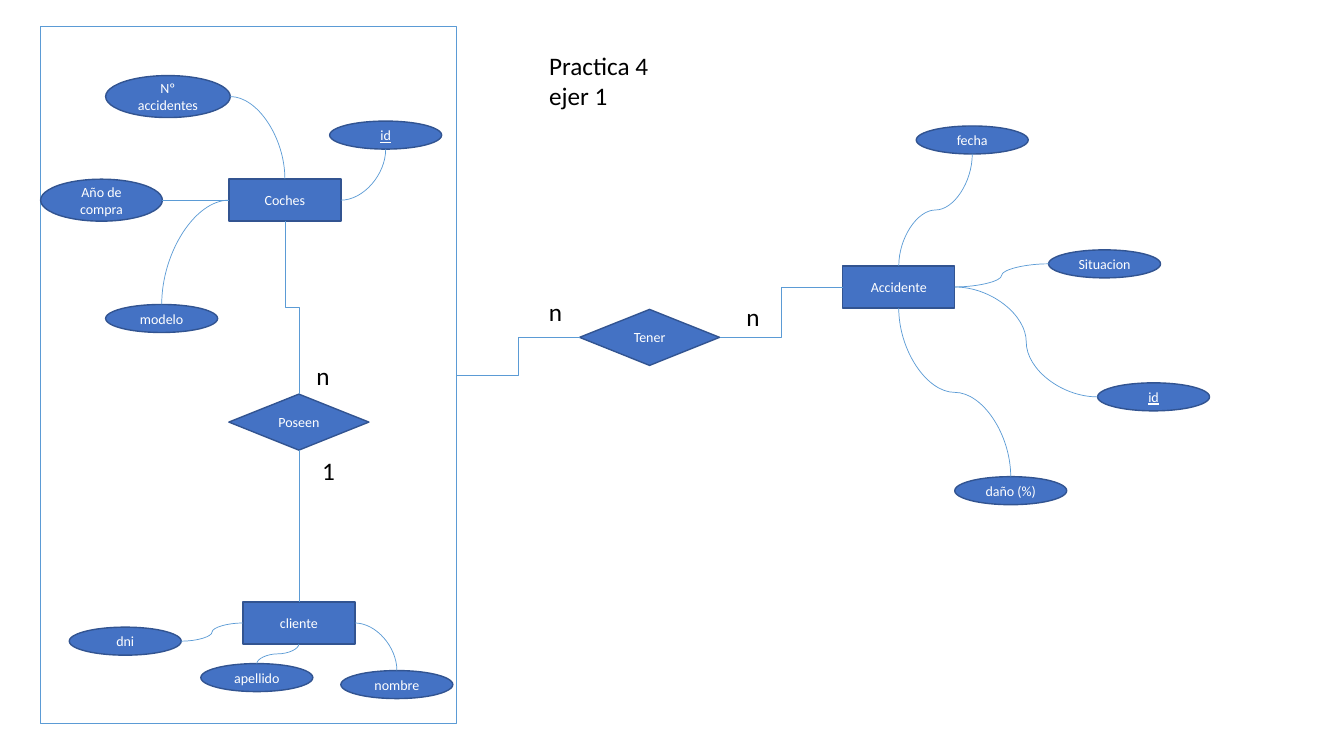
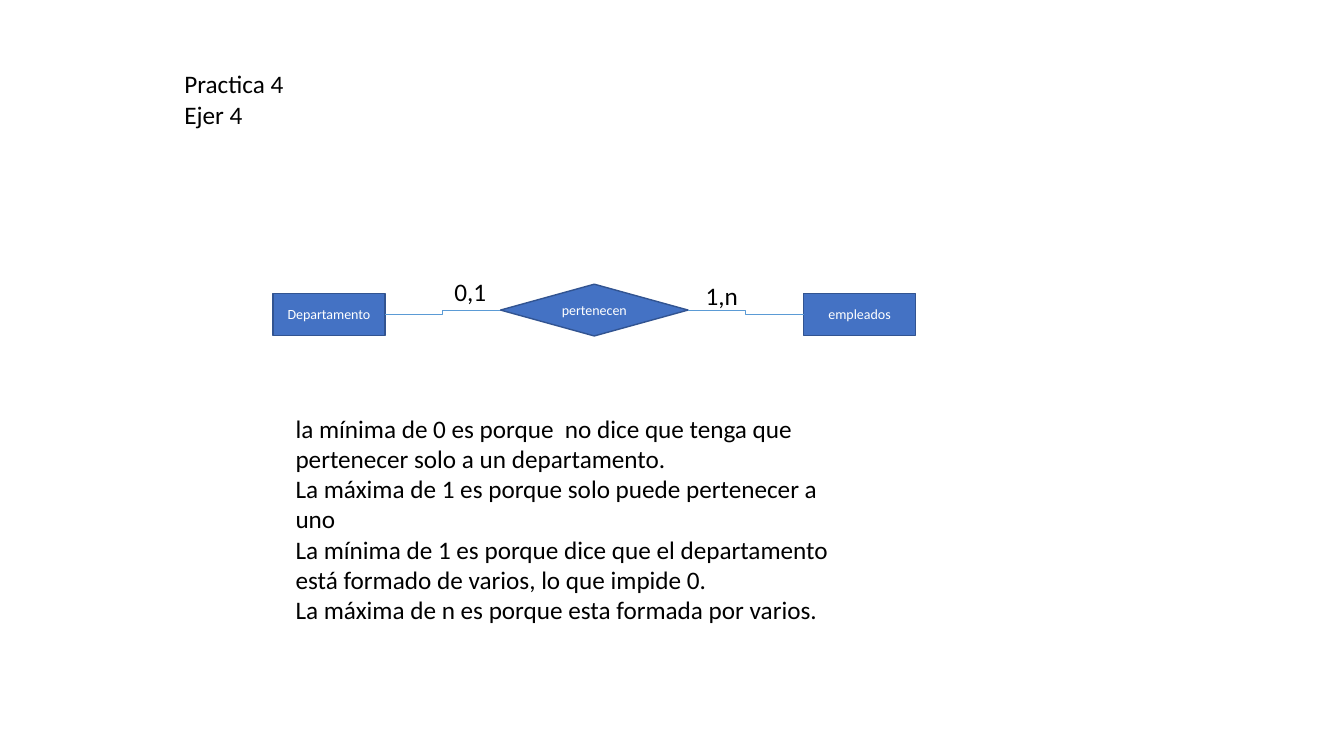
import math

from lxml import etree
from pptx import Presentation
from pptx.dml.color import RGBColor
from pptx.enum import shapes, text
from pptx.oxml import ns
from pptx.util import Pt

BLUE = RGBColor(0x44, 0x72, 0xC4)
DARK_BLUE = RGBColor(0x32, 0x54, 0x91)
LIGHT_BLUE = RGBColor(0x5B, 0x9B, 0xD5)
WHITE = RGBColor(0xFF, 0xFF, 0xFF)
BLACK = RGBColor(0x00, 0x00, 0x00)
FONT = "Calibri"

TITLE_ONLY = 5
KIND = shapes.MSO_SHAPE
CURVE = shapes.MSO_CONNECTOR.CURVE
ELBOW = shapes.MSO_CONNECTOR.ELBOW

# Side: connection site, direction of departure in degrees, place on the shape
SIDES = {
    "top": (0, 270, 0.5, 0),
    "left": (1, 180, 0, 0.5),
    "bottom": (2, 90, 0.5, 1),
    "right": (3, 0, 1, 0.5),
}


def write(frame, content, size, color, alignment):
    frame.word_wrap = True
    frame.text = content
    for paragraph in frame.paragraphs:
        paragraph.alignment = alignment
        paragraph.font.name = FONT
        paragraph.font.size = Pt(size)
        paragraph.font.color.rgb = color


def add_titled_slide(presentation, title, left, top, width):
    slide = presentation.slides.add_slide(presentation.slide_layouts[TITLE_ONLY])
    shape = slide.shapes.title
    shape.left, shape.top, shape.width, shape.height = map(Pt, (left, top, width, 51))
    frame = shape.text_frame
    write(frame, title, 18, BLACK, text.PP_ALIGN.LEFT)
    frame.auto_size = text.MSO_AUTO_SIZE.NONE
    frame.vertical_anchor = text.MSO_ANCHOR.TOP
    return slide


def add_box(slide, kind, left, top, width, height, fill, line):
    shape = slide.shapes.add_shape(kind, Pt(left), Pt(top), Pt(width), Pt(height))
    shape.shadow.inherit = False
    shape.fill.solid()
    shape.fill.fore_color.rgb = fill
    shape.line.color.rgb = line
    shape.line.width = Pt(1)
    return shape


def add_node(slide, kind, name, left, top, width, height):
    shape = add_box(slide, kind, left, top, width, height, BLUE, DARK_BLUE)
    write(shape.text_frame, name, 10, WHITE, text.PP_ALIGN.CENTER)
    shape.text_frame.vertical_anchor = text.MSO_ANCHOR.MIDDLE
    return shape


def add_entity(slide, name, left, top):
    return add_node(slide, KIND.RECTANGLE, name, left, top, 80, 30)


def add_relation(slide, name, left, top, width=100, height=40):
    return add_node(slide, KIND.DIAMOND, name, left, top, width, height)


def add_attribute(slide, name, left, top, width=80, height=20, key=False):
    shape = add_node(slide, KIND.OVAL, name, left, top, width, height)
    if key:
        shape.text_frame.paragraphs[0].font.underline = True
    return shape


def add_text(slide, content, left, top, width=50, height=29):
    box = slide.shapes.add_textbox(Pt(left), Pt(top), Pt(width), Pt(height))
    write(box.text_frame, content, 18, BLACK, text.PP_ALIGN.LEFT)


def connect(slide, kind, start, start_side, end, end_side):
    """Glue a connector to two shapes, turned so that it leaves the start side squarely."""
    ends = []
    for shape, side in ((start, start_side), (end, end_side)):
        _, _, across, down = SIDES[side]
        ends.append((shape.left + across * shape.width, shape.top + down * shape.height))
    (x1, y1), (x2, y2) = ends
    heading = SIDES[start_side][1]
    cosine = round(math.cos(math.radians(heading)))
    sine = round(math.sin(math.radians(heading)))
    half_along = ((x2 - x1) * cosine + (y2 - y1) * sine) / 2
    half_across = ((y2 - y1) * cosine - (x2 - x1) * sine) / 2
    middle_x, middle_y = (x1 + x2) / 2, (y1 + y2) / 2
    connector = slide.shapes.add_connector(
        kind,
        int(middle_x - half_along), int(middle_y - half_across),
        int(middle_x + half_along), int(middle_y + half_across))
    connector.line.color.rgb = LIGHT_BLUE
    connector.line.width = Pt(0.5)

    properties = connector.element.spPr
    etree.SubElement(properties, ns.qn("a:effectLst"))
    if heading:
        properties.find(ns.qn("a:xfrm")).set("rot", str(heading * 60000))
    if (heading - SIDES[end_side][1]) % 180:
        properties.find(ns.qn("a:prstGeom")).set("prst", "curvedConnector2")
    links = connector.element.find(".//" + ns.qn("p:cNvCxnSpPr"))
    for tag, shape, side in (("a:stCxn", start, start_side), ("a:endCxn", end, end_side)):
        sites_per_side = 2 if shape.auto_shape_type == KIND.OVAL else 1
        etree.SubElement(links, ns.qn(tag), id=str(shape.shape_id),
                         idx=str(SIDES[side][0] * sites_per_side))


def build_accidents(presentation):
    slide = add_titled_slide(presentation, "Practica 4 ejer 1", 385, 32, 100)
    frame = add_box(slide, KIND.RECTANGLE, 29, 19, 297, 498, WHITE, LIGHT_BLUE)

    cars = add_entity(slide, "Coches", 163.5, 128)
    accident = add_entity(slide, "Accidente", 602, 190)
    client = add_entity(slide, "cliente", 173.5, 430)
    have = add_relation(slide, "Tener", 414, 221)
    own = add_relation(slide, "Poseen", 163.5, 281.5)

    accident_count = add_attribute(slide, "Nº accidentes", 75.5, 54, 89, 30)
    purchase_year = add_attribute(slide, "Año de compra", 29, 128, 87, 30)
    model = add_attribute(slide, "modelo", 75.5, 217.5)
    car_id = add_attribute(slide, "id", 235.5, 86.5, key=True)
    date = add_attribute(slide, "fecha", 654.5, 90)
    situation = add_attribute(slide, "Situacion", 749, 178.5)
    accident_id = add_attribute(slide, "id", 784, 273.5, key=True)
    damage = add_attribute(slide, "daño (%)", 682, 340.5)
    national_id = add_attribute(slide, "dni", 49.5, 448)
    surname = add_attribute(slide, "apellido", 143.5, 474)
    first_name = add_attribute(slide, "nombre", 243.5, 479)

    for link in (
        (cars, "left", purchase_year, "right"),
        (cars, "top", accident_count, "right"),
        (cars, "left", model, "top"),
        (car_id, "bottom", cars, "right"),
        (date, "bottom", accident, "top"),
        (accident, "right", situation, "left"),
        (accident, "bottom", damage, "top"),
        (accident_id, "left", accident, "right"),
        (first_name, "top", client, "right"),
        (surname, "top", client, "bottom"),
        (national_id, "right", client, "left"),
    ):
        connect(slide, CURVE, *link)
    for link in (
        (cars, "bottom", own, "top"),
        (client, "top", own, "bottom"),
        (accident, "left", have, "right"),
        (have, "left", frame, "right"),
    ):
        connect(slide, ELBOW, *link)

    for label in (("n", 219, 254), ("1", 223, 322), ("n", 526, 212), ("n", 385, 208)):
        add_text(slide, *label)


def build_departments(presentation):
    slide = add_titled_slide(presentation, "Practica 4\nEjer 4", 124.5, 45.5, 120)
    department = add_entity(slide, "Departamento", 195, 209.5)
    employees = add_entity(slide, "empleados", 574, 209.5)
    belong = add_relation(slide, "pertenecen", 357.5, 203, 134, 37)
    connect(slide, ELBOW, department, "right", belong, "left")
    connect(slide, ELBOW, belong, "right", employees, "left")
    add_text(slide, "1,n", 497, 196.5)
    add_text(slide, "0,1", 317.5, 193.5)
    add_text(slide, "\n".join((
        "la mínima de 0 es porque  no dice que tenga que pertenecer solo a un departamento.",
        "La máxima de 1 es porque solo puede pertenecer a uno",
        "La mínima de 1 es porque dice que el departamento está formado de varios, "
        "lo que impide 0.",
        "La máxima de n es porque esta formada por varios.",
    )), 204, 291.5, 400, 160)


def main():
    presentation = Presentation()
    presentation.slide_width, presentation.slide_height = Pt(960), Pt(540)
    build_accidents(presentation)
    build_departments(presentation)
    presentation.save("out.pptx")


if __name__ == "__main__":
    main()
